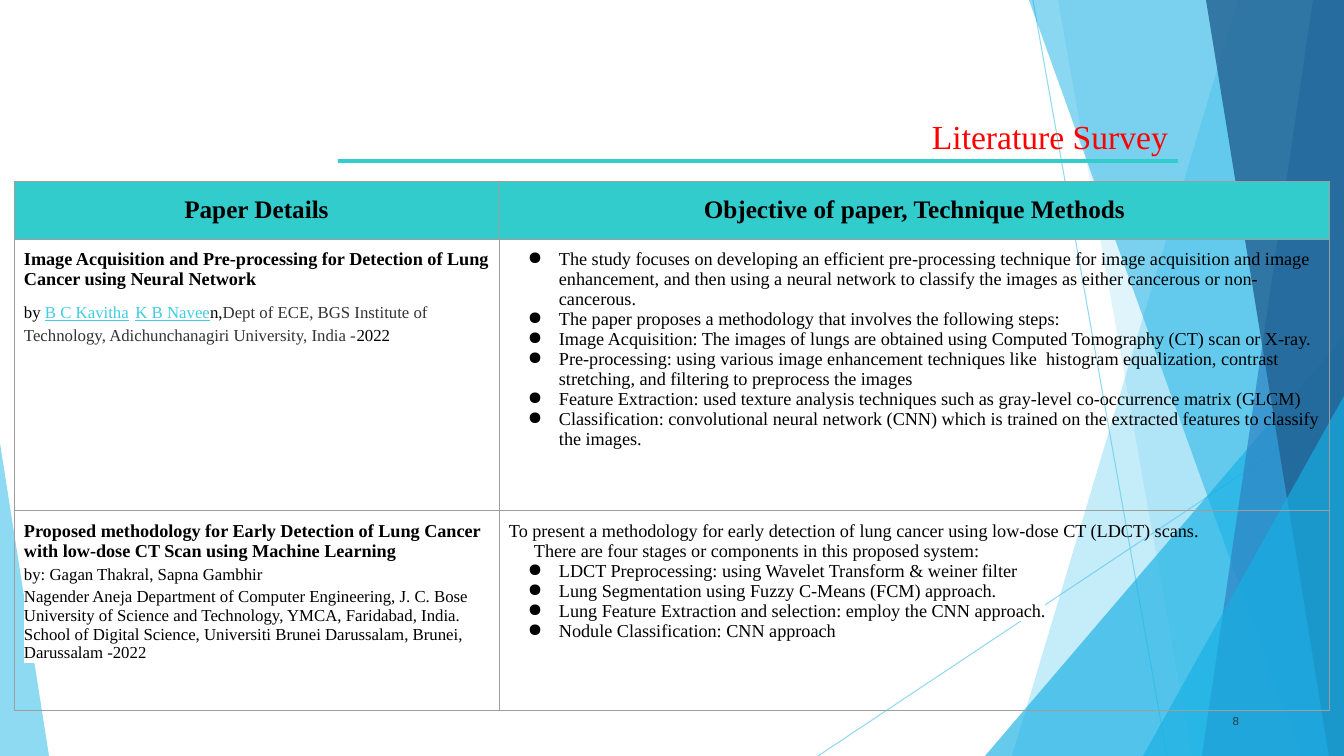
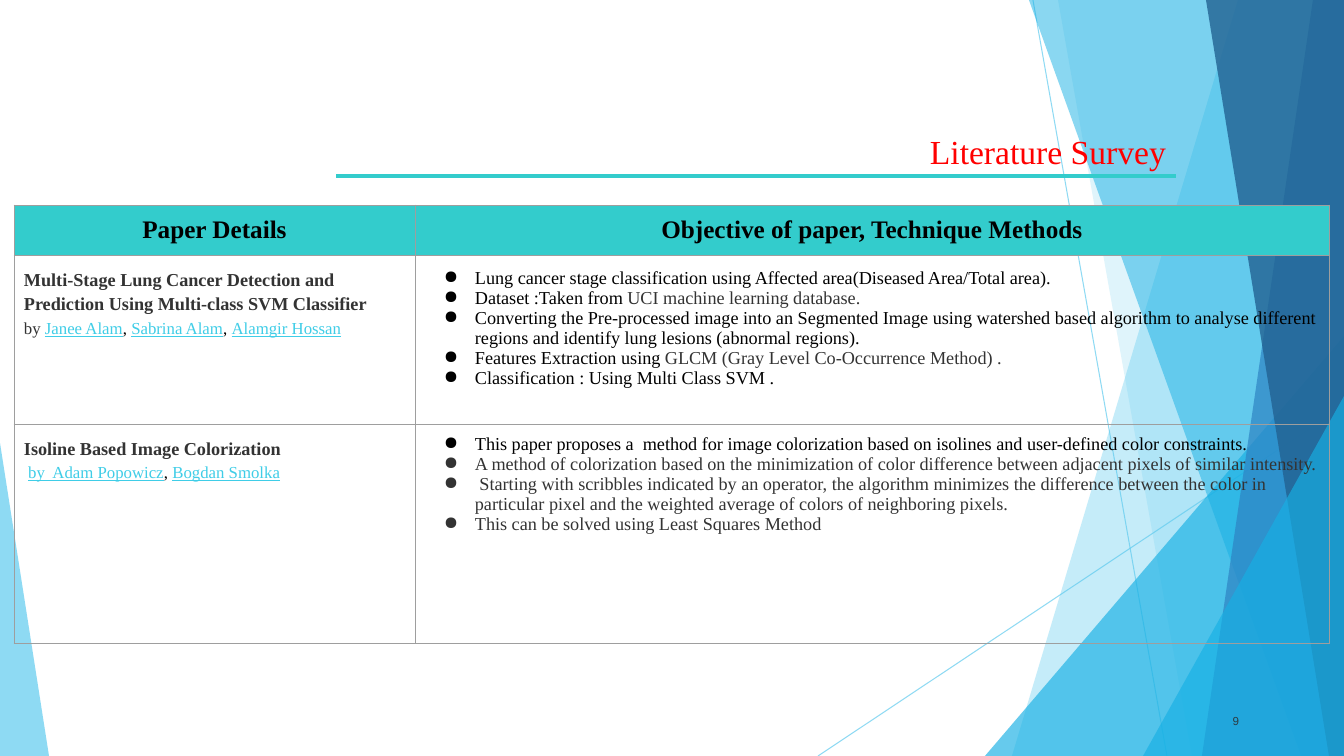
from lxml import etree
from pptx import Presentation
from pptx.dml.color import RGBColor
from pptx.enum.shapes import MSO_CONNECTOR, MSO_SHAPE
from pptx.enum.text import MSO_ANCHOR, PP_ALIGN
from pptx.oxml.ns import qn
from pptx.util import Emu, Pt

STRAIGHT = MSO_CONNECTOR.STRAIGHT
RECTANGLE, TRIANGLE = MSO_SHAPE.RECTANGLE, MSO_SHAPE.ISOSCELES_TRIANGLE
MIDDLE, TOP = MSO_ANCHOR.MIDDLE, MSO_ANCHOR.TOP
LEFT, CENTER, RIGHT = PP_ALIGN.LEFT, PP_ALIGN.CENTER, PP_ALIGN.RIGHT

WIDTH, HEIGHT = 1344, 756
BLANK_LAYOUT = 6
SERIF = "Times New Roman"
COLORS = {
    "sky": "5FCBEF",
    "azure": "17B0E4",
    "blue": "2E83C3",
    "navy": "226292",
    "teal": "33CCCC",
    "red": "FF0000",
    "black": "000000",
    "gray": "333333",
    "slate": "2C3C43",
    "link": "3FCDE7",
    "border": "9E9E9E",
    "white": "FFFFFF",
}
BLADES_BACK = [(1238, 1012, "sky", 36), (1058, 1192, "sky", 20)]
BLADES_FRONT = [
    (1029, 1301, "azure", 50),
    (1313, 1202, "blue", 70),
    (1206, 1329, "navy", 80),
]
HEADINGS = ["Paper Details", "Objective of paper, Technique Methods"]


def px(length):
    return Emu(round(length * 914400 / 100.8))


def rgb(color):
    return RGBColor.from_string(COLORS[color])


def add_color(parent, tag, color):
    holder = etree.SubElement(parent, qn(tag))
    etree.SubElement(holder, qn("a:srgbClr"), val=COLORS[color])
    return holder


def set_alpha(owner, opacity):
    for shade in owner.iter(qn("a:srgbClr")):
        etree.SubElement(shade, qn("a:alpha"), val=str(opacity * 1000))


def paint(shape, color, opacity=100):
    shape.shadow.inherit = False
    shape.fill.solid()
    shape.fill.fore_color.rgb = rgb(color)
    shape.line.fill.background()
    if opacity < 100:
        set_alpha(shape.fill._xPr, opacity)


def write(paragraph, text, size=13, font=SERIF, color="black", bold=False,
          underline=False, highlight=None):
    run = paragraph.add_run()
    run.text = text
    run.font.size = Pt(size)
    run.font.bold = bold
    run.font.underline = underline
    run.font.color.rgb = rgb(color)
    if highlight:
        add_color(run.font._element, "a:highlight", highlight)
    run.font.name = font


def span(text, **style):
    return text, style


def link(text):
    return span(text, size=12, color="link", underline=True)


def para(*spans, **layout):
    return spans, layout


def bullet(*spans, **layout):
    return para(*spans, indent=50, hanging=31, mark="black", **layout)


def lay_out(paragraph, align=LEFT, before=0, spacing=None, indent=0,
            hanging=0, mark=None):
    paragraph.alignment = align
    paragraph.space_before = Pt(before)
    if spacing:
        paragraph.line_spacing = spacing
    properties = paragraph._p.get_or_add_pPr()
    properties.set("marL", str(px(indent)))
    properties.set("indent", str(-px(hanging)))
    if mark:
        add_color(properties, "a:buClr", mark)
        etree.SubElement(properties, qn("a:buChar"), char="●")


def fill_frame(frame, paragraphs):
    for index, (spans, layout) in enumerate(paragraphs):
        paragraph = frame.add_paragraph() if index else frame.paragraphs[0]
        lay_out(paragraph, **layout)
        for text, style in spans:
            write(paragraph, text, **style)


def add_text(slide, left, top, width, height, text, anchor=TOP, inset=(10, 5), **style):
    frame = slide.shapes.add_textbox(px(left), px(top), px(width), px(height)).text_frame
    frame.word_wrap = True
    frame.vertical_anchor = anchor
    frame.margin_left = frame.margin_right = px(inset[0])
    frame.margin_top = frame.margin_bottom = px(inset[1])
    fill_frame(frame, [para(span(text, **style), align=RIGHT)])


def add_ray(slide, *ends):
    ray = slide.shapes.add_connector(STRAIGHT, *map(px, ends))
    ray.line.color.rgb = rgb("sky")
    ray.line.width = Pt(0.75)
    properties = ray._element.spPr
    set_alpha(properties, 70)
    etree.SubElement(properties, qn("a:effectLst"))


def add_blade(slide, top_x, bottom_x, color, opacity):
    outline = slide.shapes.build_freeform(px(top_x), 0)
    corners = [(WIDTH, 0), (WIDTH, HEIGHT), (bottom_x, HEIGHT)]
    outline.add_line_segments([(px(x), px(y)) for x, y in corners], close=True)
    paint(outline.convert_to_shape(), color, opacity)


def add_wedge(slide, left, top, width, apex, color, opacity):
    wedge = slide.shapes.add_shape(
        TRIANGLE, px(left), px(top), px(width), px(HEIGHT - top))
    wedge.adjustments[0] = apex
    paint(wedge, color, opacity)


def add_backdrop(slide):
    add_ray(slide, 1033, 0, 1167, HEIGHT)
    add_ray(slide, WIDTH, 406, 818, HEIGHT)
    for blade in BLADES_BACK:
        add_blade(slide, *blade)
    add_wedge(slide, 985, 336, 359, 1, "azure", 66)
    for blade in BLADES_FRONT:
        add_blade(slide, *blade)
    add_wedge(slide, 1143, 396, 201, 1, "azure", 66)
    add_wedge(slide, 0, 443, 49, 0, "sky", 70)


def add_title(slide, left, top):
    rule = slide.shapes.add_shape(RECTANGLE, px(left), px(top), px(840), px(4))
    paint(rule, "teal")
    add_text(slide, left + 126, top - 48, 714, 50, "Literature Survey",
             size=24, color="red")


def format_cell(cell, paragraphs, fill=None, anchor=TOP):
    cell.margin_left = cell.margin_right = px(10)
    cell.margin_top = cell.margin_bottom = px(10)
    cell.vertical_anchor = anchor
    properties = cell._tc.get_or_add_tcPr()
    for side in ("a:lnL", "a:lnR", "a:lnT", "a:lnB"):
        edge = etree.SubElement(properties, qn(side), w=str(Pt(0.75)))
        add_color(edge, "a:solidFill", "border")
    if fill:
        cell.fill.solid()
        cell.fill.fore_color.rgb = rgb(fill)
    else:
        cell.fill.background()
    fill_frame(cell.text_frame, paragraphs)


def add_papers(slide, top, widths, heights, papers):
    table = slide.shapes.add_table(
        len(heights), len(widths), px(14), px(top), px(sum(widths)), px(sum(heights))).table
    table.first_row = table.horz_banding = False
    for column, width in zip(table.columns, widths):
        column.width = px(width)
    for row, height in zip(table.rows, heights):
        row.height = px(height)
    for column, heading in enumerate(HEADINGS):
        title = para(span(heading, size=18, bold=True), align=CENTER)
        format_cell(table.cell(0, column), [title], "teal", MIDDLE)
    for row, paper in enumerate(papers, 1):
        for column, paragraphs in enumerate(paper):
            format_cell(table.cell(row, column), paragraphs)


def add_survey(deck, number, title_left, title_top, *papers):
    slide = deck.slides.add_slide(deck.slide_layouts[BLANK_LAYOUT])
    add_backdrop(slide)
    add_title(slide, title_left, title_top)
    add_text(slide, 950, 701, 302, 40, str(number), MIDDLE, (13, 13),
             size=8.3, font="Arial", color="slate")
    add_papers(slide, *papers)


def detection_papers():
    acquisition = [
        para(span("Image Acquisition and Pre-processing for Detection of Lung Cancer using Neural Network", bold=True), before=3),
        para(span("by ", size=12), link("B C Kavitha"), span(" ", size=18, font="Lato"),
             link("K B Navee"), span("n,", size=12),
             span("Dept of ECE, BGS Institute of Technology, Adichunchanagiri University, India -", size=12, color="gray"),
             span("2022", size=12), spacing=1.15),
    ]
    acquisition_steps = [bullet(span(text)) for text in (
        "The study focuses on developing an efficient pre-processing technique for image acquisition and image enhancement, and then using a neural network to classify the images as either cancerous or non-cancerous.",
        "The paper proposes a methodology that involves the following steps:",
        "Image Acquisition: The images of lungs are obtained using Computed Tomography (CT) scan or X-ray.",
        "Pre-processing: using various image enhancement techniques like  histogram equalization, contrast stretching, and filtering to preprocess the images",
        "Feature Extraction: used texture analysis techniques such as gray-level co-occurrence matrix (GLCM)",
        "Classification: convolutional neural network (CNN) which is trained on the extracted features to classify the images.",
    )]
    low_dose = [para(span(text, size=size, bold=bold, highlight="white"), before=3)
                for text, size, bold in (
        ("Proposed methodology for Early Detection of Lung Cancer with low-dose CT Scan using Machine Learning", 13, True),
        ("by: Gagan Thakral, Sapna Gambhir", 12, False),
        ("Nagender Aneja Department of Computer Engineering, J. C. Bose University of Science and Technology, YMCA, Faridabad, India. School of Digital Science, Universiti Brunei Darussalam, Brunei, Darussalam -2022", 12, False),
    )]
    low_dose_stages = [
        para(span("To present a methodology for early detection of lung cancer using low-dose CT (LDCT) scans.")),
        para(span("There are four stages or components in this proposed system:", highlight="white"), indent=25),
    ] + [bullet(span(text, highlight="white")) for text in (
        "LDCT Preprocessing: using Wavelet Transform & weiner filter",
        "Lung Segmentation using Fuzzy C-Means (FCM) approach.",
        "Lung Feature Extraction and selection: employ the CNN approach.",
        "Nodule Classification: CNN approach",
    )]
    return [(acquisition, acquisition_steps), (low_dose, low_dose_stages)]


def imaging_papers():
    comma = span(", ", size=12)
    multi_stage = [
        para(span("Multi-Stage Lung Cancer Detection and Prediction Using Multi-class SVM Classifier", color="gray", bold=True), spacing=1.24),
        para(span("by ", size=12, color="gray"), link("Janee Alam"), comma,
             link("Sabrina Alam"), comma, link("Alamgir Hossan"), spacing=1.24),
    ]
    multi_stage_steps = [
        bullet(span("Lung cancer stage classification using Affected area(Diseased Area/Total area)."), spacing=1.15),
        bullet(span("Dataset :Taken from "), span("UCI machine learning database.", color="gray")),
        bullet(span("Converting the Pre-processed image into an Segmented Image using watershed based algorithm to analyse different regions and identify lung lesions (abnormal regions).")),
        bullet(span("Features Extraction using "), span("GLCM (Gray Level Co-Occurrence Method) .", color="gray")),
        bullet(span("Classification : Using Multi Class SVM .")),
    ]
    isoline = [
        para(span("Isoline Based Image Colorization", color="gray", bold=True), spacing=1.24),
        para(span(" ", size=12), link("by  Adam Popowicz"), comma,
             link("Bogdan Smolka"), spacing=1.24),
    ]
    isoline_steps = [
        bullet(span("This paper proposes a  method for image colorization based on isolines and user-defined color constraints.")),
    ] + [para(span(text, color="gray"), indent=50, hanging=31, mark="gray") for text in (
        "A method of colorization based on the minimization of color difference between adjacent pixels of similar intensity.",
        " Starting with scribbles indicated by an operator, the algorithm minimizes the difference between the color in particular pixel and the weighted average of colors of neighboring pixels.",
        "This can be solved using Least Squares Method",
    )]
    return [(multi_stage, multi_stage_steps), (isoline, isoline_steps)]


def main():
    deck = Presentation()
    deck.slide_width, deck.slide_height = px(WIDTH), px(HEIGHT)
    add_survey(deck, 8, 338, 159, 181, (485, 831), (58, 272, 200), detection_papers())
    add_survey(deck, 9, 336, 174, 205, (401, 914), (50, 169, 219), imaging_papers())
    deck.save("out.pptx")


if __name__ == "__main__":
    main()
